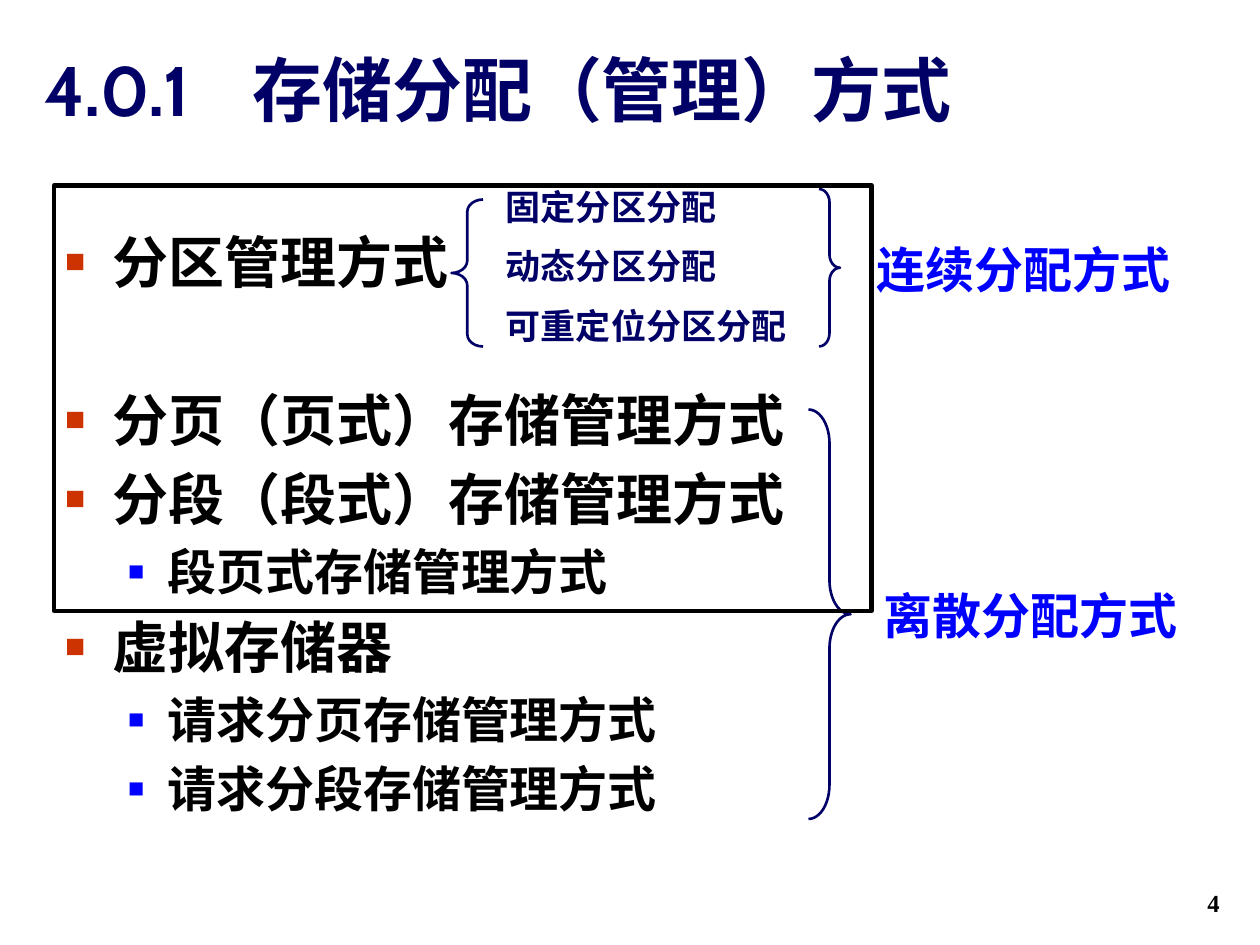
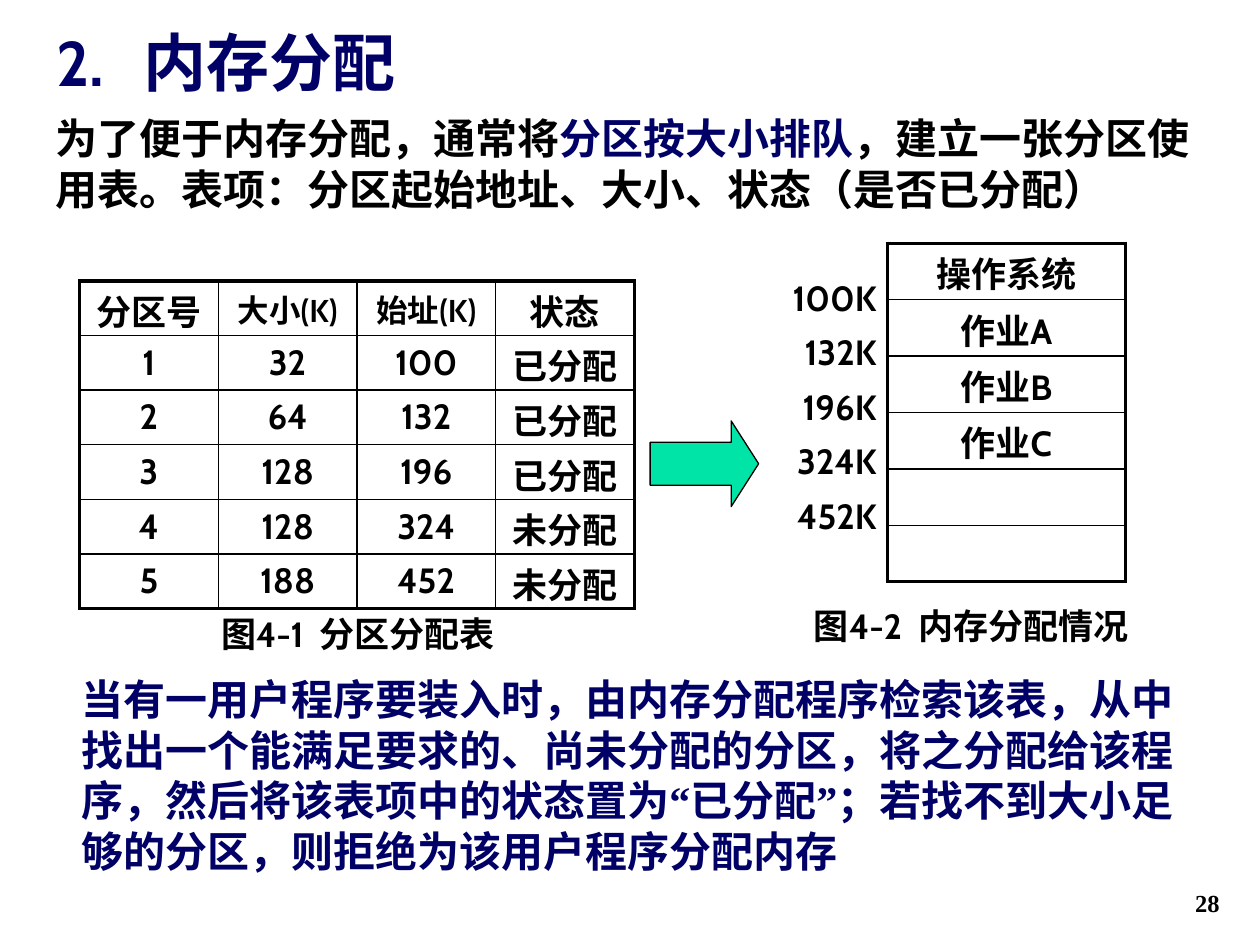
from lxml import etree
from pptx import Presentation
from pptx import util as u
from pptx.dml.color import RGBColor
from pptx.enum import shapes, text
from pptx.oxml import ns

Pt = u.Pt
NAVY = RGBColor(0x00, 0x00, 0x66)
BLUE = RGBColor(0x00, 0x00, 0xFF)
BLACK = RGBColor(0x00, 0x00, 0x00)
RUST = RGBColor(0xCC, 0x33, 0x00)
MINT = RGBColor(0x00, 0xE4, 0xA8)
LATIN, CJK, SERIF = "Cabin", "Noto Sans CJK SC", "Times New Roman"
LEFT, CENTER, RIGHT = text.PP_ALIGN.LEFT, text.PP_ALIGN.CENTER, text.PP_ALIGN.RIGHT
LEADING = 1.21


def write(tf, paras, size=20, color=BLACK, font=LATIN, align=LEFT, before=0.5,
          anchor=text.MSO_ANCHOR.TOP):
    """Fill a text frame; a paragraph is a string or a list of (text, overrides)."""
    tf.word_wrap = True
    tf.auto_size = text.MSO_AUTO_SIZE.NONE
    tf.vertical_anchor = anchor
    for i, runs in enumerate(paras):
        p = tf.paragraphs[0] if i == 0 else tf.add_paragraph()
        p.alignment = align
        p.line_spacing = Pt(size * LEADING)
        p.space_before = Pt(size * before if i else 0)
        for words, own in [(runs, {})] if isinstance(runs, str) else runs:
            r = p.add_run()
            r.text = words
            r.font.size, r.font.bold = Pt(size), True
            r.font.color.rgb = own.get("color", color)
            face = own.get("font", font)
            r.font.name = face
            ea = etree.SubElement(r._r.get_or_add_rPr(), ns.qn("a:ea"))
            ea.set("typeface", SERIF if face == SERIF else CJK)


def grid(s, box, rows):
    """Add a centred table with a thick frame and thin inner lines."""
    n_rows, n_cols = len(rows), len(rows[0])
    table = s.shapes.add_table(n_rows, n_cols, *map(Pt, box)).table
    table.first_row = table.horz_banding = False
    for i, row in enumerate(rows):
        table.rows[i].height = Pt(box[3] / n_rows)
        for j, words in enumerate(row):
            cell = table.cell(i, j)
            outer = {"L": j == 0, "R": j == n_cols - 1, "T": i == 0, "B": i == n_rows - 1}
            for side, thick in outer.items():
                ln = etree.SubElement(cell._tc.get_or_add_tcPr(), ns.qn(f"a:ln{side}"))
                ln.set("w", str(Pt(2.25 if thick else 1)))
                fill = etree.SubElement(ln, ns.qn("a:solidFill"))
                etree.SubElement(fill, ns.qn("a:srgbClr")).set("val", str(BLACK))
            cell.fill.background()
            if words:
                # Chinese text sits lower in its cell than numbers
                cell.margin_top = Pt(3.6 if words.isdigit() else 7)
                cell.margin_bottom = 0
                write(cell.text_frame, [words], size=18 if "(K)" in words else 20,
                      align=CENTER)


prs = Presentation()
prs.slide_width, prs.slide_height = Pt(720), Pt(540)

# Shared: title and page number
pages = [
    (1, "4.0.1\t存储分配（管理）方式", 40, (18, 23, 683, 55), 119, "4"),
    (5, "2.\t内存分配", 36, (25, 16.5, 679, 44), 50, "28"),
]
for layout, title, size, box, tab, number in pages:
    s = prs.slides.add_slide(prs.slide_layouts[layout])
    sp = s.shapes.title
    sp.left, sp.top, sp.width, sp.height = map(Pt, box)
    write(sp.text_frame, [title], size=size, color=NAVY, anchor=text.MSO_ANCHOR.BOTTOM)
    pPr = sp.text_frame.paragraphs[0]._p.get_or_add_pPr()
    stops = etree.SubElement(pPr, ns.qn("a:tabLst"))
    etree.SubElement(stops, ns.qn("a:tab"), pos=str(Pt(tab)), algn="l")
    tf = s.shapes.add_textbox(Pt(554), Pt(492), Pt(150), Pt(36)).text_frame
    write(tf, [number], size=14, font=SERIF, align=RIGHT, anchor=text.MSO_ANCHOR.BOTTOM)

# Slide 1: list of management schemes
s = prs.slides[0]
sp = s.placeholders[1]
sp.left, sp.top, sp.width, sp.height = map(Pt, (30, 126, 486, 372))
schemes = [
    (0, "分区管理方式"),
    (0, "分页（页式）存储管理方式"),
    (0, "分段（段式）存储管理方式"),
    (1, "段页式存储管理方式"),
    (0, "虚拟存储器"),
    (1, "请求分页存储管理方式"),
    (1, "请求分段存储管理方式"),
]
levels = [(32, 27, 27, RUST, 60), (28, 58.5, 22.5, BLUE, 55)]
write(sp.text_frame, [words for _, words in schemes], before=0.2)
for i, (p, (level, _)) in enumerate(zip(sp.text_frame.paragraphs, schemes)):
    size, margin, hang, color, percent = levels[level]
    p.level = level
    p.line_spacing = Pt(size * LEADING)
    # The second item leaves room for the three kinds of partition
    p.space_before = Pt(0 if i == 0 else 51.5 if i == 1 else size * 0.2)
    p.runs[0].font.size = Pt(size)
    pPr = p._p.get_or_add_pPr()
    pPr.set("marL", str(Pt(margin)))
    pPr.set("indent", str(-Pt(hang)))
    clr = etree.SubElement(pPr, ns.qn("a:buClr"))
    etree.SubElement(clr, ns.qn("a:srgbClr")).set("val", str(color))
    etree.SubElement(pPr, ns.qn("a:buSzPct")).set("val", str(percent * 1000))
    etree.SubElement(pPr, ns.qn("a:buChar")).set("char", "■")

# Slide 1: partition kinds and the two groups
labels = [
    ((282, 102, 204, 103), ["固定分区分配", "动态分区分配", "可重定位分区分配"], 20, NAVY, LEFT),
    ((474, 133, 222, 41), ["连续分配方式"], 28, BLUE, CENTER),
    ((498, 331, 210, 41), ["离散分配方式"], 28, BLUE, LEFT),
]
for box, paras, size, color, align in labels:
    tf = s.shapes.add_textbox(*map(Pt, box)).text_frame
    write(tf, paras, size=size, color=color, font=CJK, align=align)

# Slide 1: braces and frame
MSO = shapes.MSO_SHAPE
outlines = [
    (MSO.LEFT_BRACE, (258, 114, 18, 84), 0.39, NAVY, 1.5),
    (MSO.RIGHT_BRACE, (462, 234, 24, 234), 0.81, NAVY, 1.5),
    (MSO.RIGHT_BRACE, (468, 108, 12, 90), 0.63, NAVY, 1.5),
    (MSO.RECTANGLE, (31, 106, 467, 243), None, BLACK, 2.5),
]
for kind, box, bend, color, width in outlines:
    sp = s.shapes.add_shape(kind, *map(Pt, box))
    sp.shadow.inherit = False
    sp.fill.background()
    sp.line.color.rgb, sp.line.width = color, Pt(width)
    if bend:
        sp.adjustments[0] = bend

# Slide 2: partition table and memory map
s = prs.slides[1]
grid(s, (45.5, 160.5, 317, 187.2), [
    ["分区号", "大小(K)", "始址(K)", "状态"],
    ["1", "32", "100", "已分配"],
    ["2", "64", "132", "已分配"],
    ["3", "128", "196", "已分配"],
    ["4", "128", "324", "未分配"],
    ["5", "188", "452", "未分配"],
])
grid(s, (507, 139, 136, 193.5), [["操作系统"], ["作业A"], ["作业B"], ["作业C"], [""], [""]])

# Slide 2: start addresses
tf = s.shapes.add_textbox(Pt(412.5), Pt(154), Pt(90), Pt(160.5)).text_frame
tf.margin_right = Pt(1.5)
write(tf, ["100K", "132K", "196K", "324K", "452K"], align=RIGHT, before=0.35)

# Slide 2: captions
for box, caption in [((46, 346.5, 317, 31), "图4-1  分区分配表"),
                     ((418, 341.5, 274, 31), "图4-2  内存分配情况")]:
    write(s.shapes.add_textbox(*map(Pt, box)).text_frame, [caption], align=CENTER)

# Slide 2: arrow from table to map
sp = s.shapes.add_shape(MSO.RIGHT_ARROW, Pt(371.5), Pt(240.5), Pt(62), Pt(49))
sp.shadow.inherit = False
sp.adjustments[0], sp.adjustments[1] = 0.5, 0.32
sp.fill.solid()
sp.fill.fore_color.rgb = MINT
sp.line.color.rgb, sp.line.width = BLACK, Pt(0.75)

# Slide 2: explanations
tf = s.shapes.add_textbox(Pt(24.5), Pt(60.5), Pt(669.5), Pt(65.5)).text_frame
write(tf, [[
    ("为了便于内存分配，通常将", {}),
    ("分区按大小排队", {"color": NAVY}),
    ("，建立一张分区使用表。表项：分区起始地址、大小、状态（是否已分配）", {}),
]], size=24, font=CJK)
tf = s.shapes.add_textbox(Pt(39.5), Pt(381), Pt(659), Pt(124)).text_frame
write(tf, [[
    ("当有一用户程序要装入时，由内存分配程序检索该表，从中找出一个能满足要求的、"
     "尚未分配的分区，将之分配给该程序，然后将该表项中的状态置为", {}),
    ("“", {"font": SERIF}),
    ("已分配", {}),
    ("”", {"font": SERIF}),
    ("；若找不到大小足够的分区，则拒绝为该用户程序分配内存", {}),
]], size=24, color=NAVY, font=CJK)

prs.save("out.pptx")
